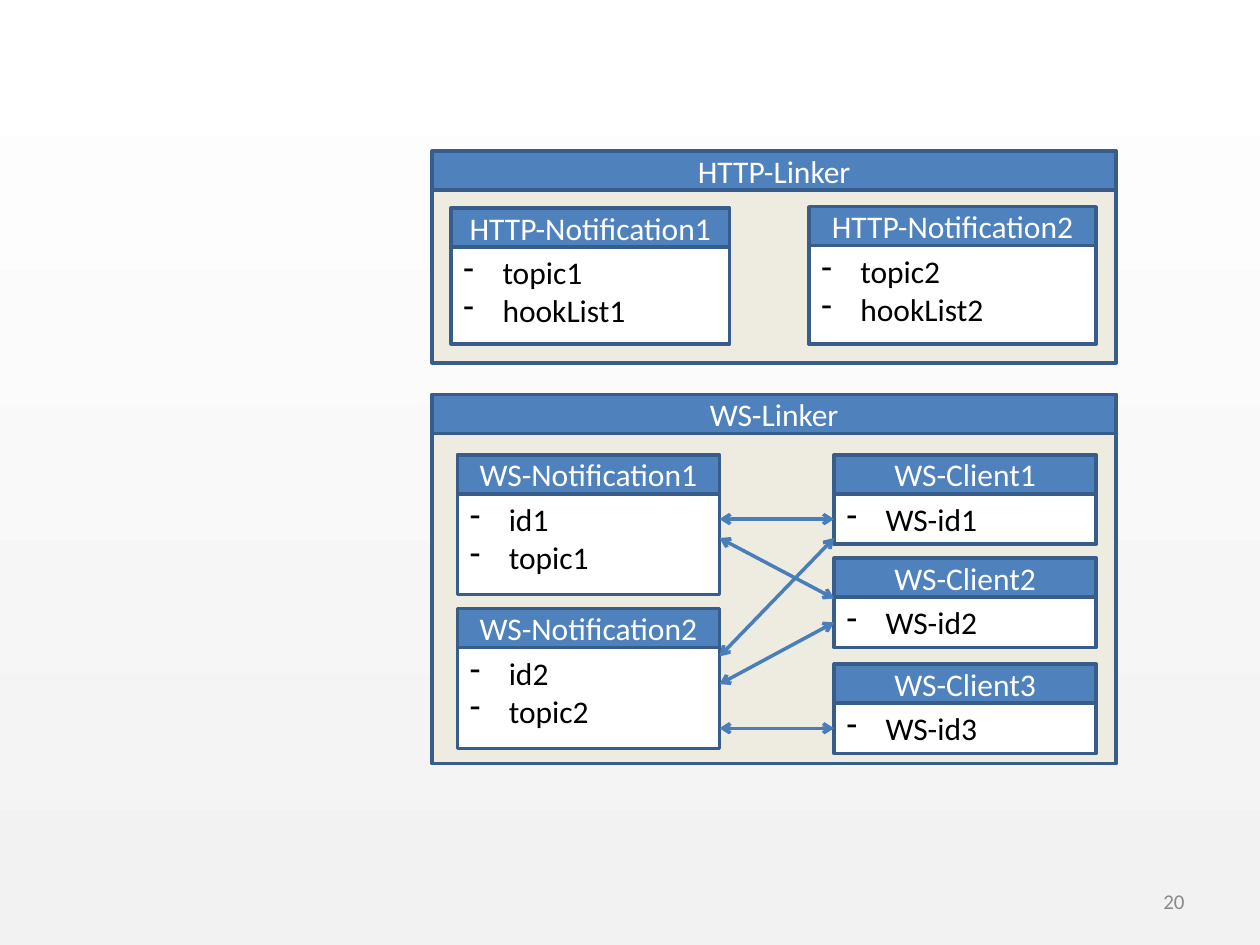
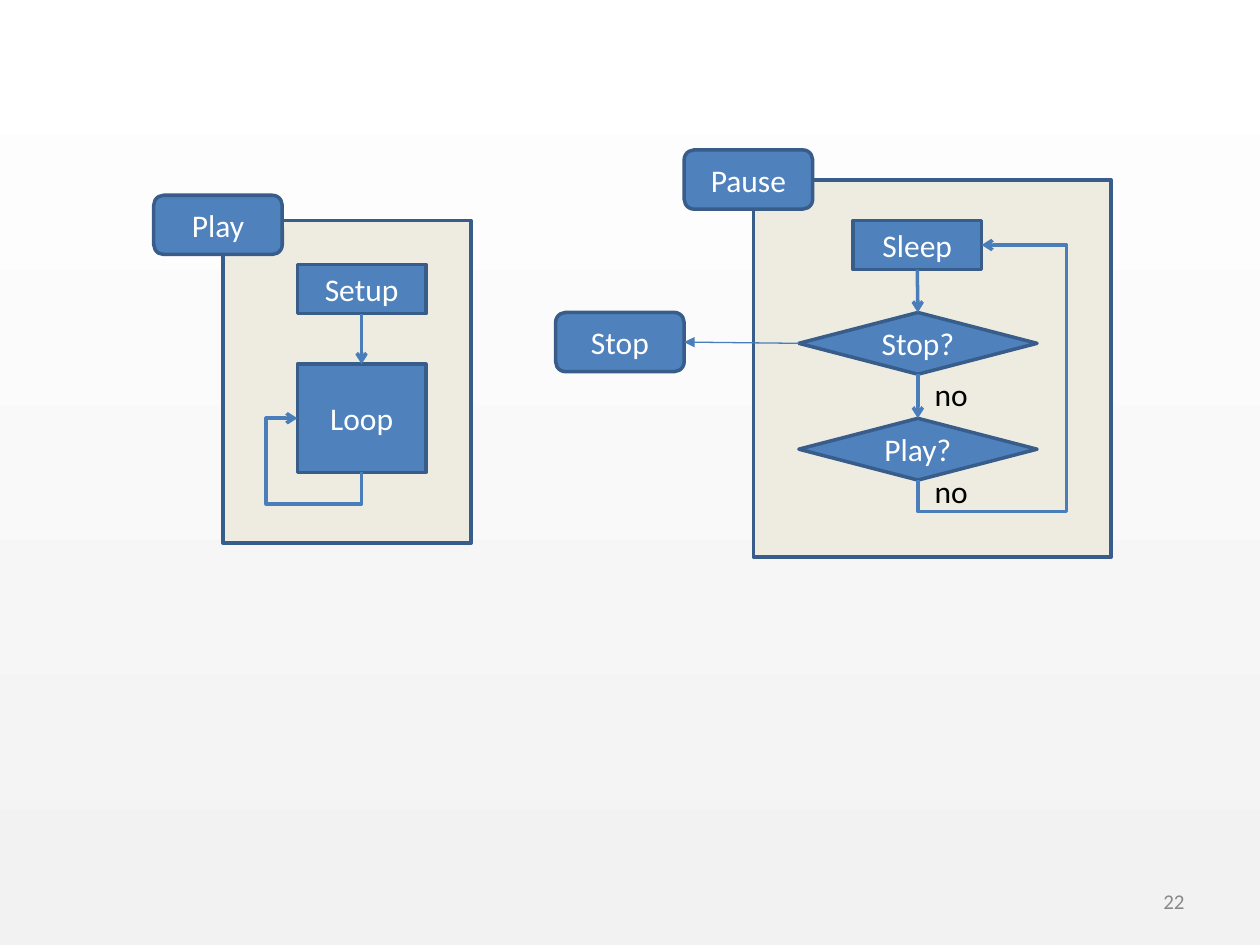
from dataclasses import dataclass

from lxml.etree import SubElement
from pptx import Presentation
from pptx.dml.color import RGBColor
from pptx.enum.shapes import MSO_CONNECTOR, MSO_SHAPE
from pptx.enum.text import MSO_ANCHOR, PP_ALIGN
from pptx.oxml.ns import qn
from pptx.util import Inches, Pt


@dataclass(frozen=True)
class Theme:
    font: str = "Calibri"
    body_size: float = 18
    number_size: float = 12
    line_width: float = 2
    thin_width: float = 0.75
    blue: str = "4F81BD"
    outline: str = "385D8A"
    arrow: str = "4A7EBB"
    panel: str = "EEECE1"
    white: str = "FFFFFF"
    black: str = "000000"
    grey: str = "898989"
    background_end: str = "F2F2F2"


THEME = Theme()
HEADER_HEIGHT = 0.31
BULLET_INDENT = 0.31

LINKER_LEFT, LINKER_WIDTH = 3.43, 5.43
LINKERS = [("HTTP-Linker", 1.2, 1.37), ("WS-Linker", 3.13, 2.62)]

WS_LEFT, CLIENT_LEFT, WS_WIDTH = 3.63, 6.62, 2.08
CARDS = [
    ("HTTP-Notification1", ["topic1", "hookList1"], 3.58, 1.65, 2.21, 0.77),
    ("HTTP-Notification2", ["topic2", "hookList2"], 6.42, 1.64, 2.28, 0.78),
    ("WS-Notification1", ["id1", "topic1"], WS_LEFT, 3.61, WS_WIDTH, 0.8),
    ("WS-Notification2", ["id2", "topic2"], WS_LEFT, 4.83, WS_WIDTH, 0.8),
    ("WS-Client1", ["WS-id1"], CLIENT_LEFT, 3.61, WS_WIDTH, 0.4),
    ("WS-Client2", ["WS-id2"], CLIENT_LEFT, 4.43, WS_WIDTH, 0.4),
    ("WS-Client3", ["WS-id3"], CLIENT_LEFT, 5.27, WS_WIDTH, 0.4),
]
LINKS = [
    (4.12, 4.12, "WS-Client1"),
    (4.27, 4.75, None),
    (5.43, 4.94, "WS-Client2"),
    (5.78, 5.78, "WS-Client3"),
    (5.21, 4.27, None),
]

STATE_PANELS = [(5.98, 1.43, 2.84, 2.99), (1.77, 1.75, 1.97, 2.56)]
STEP_SIZE, STATE_SIZE, DECISION_SIZE = (1.02, 0.39), (1.02, 0.47), (1.89, 0.49)
NODES = [
    ("Setup", MSO_SHAPE.RECTANGLE, (2.36, 2.1), STEP_SIZE),
    ("Loop", MSO_SHAPE.RECTANGLE, (2.36, 2.89), (1.02, 0.86)),
    ("Play", MSO_SHAPE.ROUNDED_RECTANGLE, (1.22, 1.55), STATE_SIZE),
    ("Pause", MSO_SHAPE.ROUNDED_RECTANGLE, (5.43, 1.19), STATE_SIZE),
    ("Stop", MSO_SHAPE.ROUNDED_RECTANGLE, (4.41, 2.48), STATE_SIZE),
    ("Sleep", MSO_SHAPE.RECTANGLE, (6.77, 1.75), STEP_SIZE),
    ("Stop?", MSO_SHAPE.DIAMOND, (6.34, 2.48), DECISION_SIZE),
    ("Play?", MSO_SHAPE.DIAMOND, (6.34, 3.32), DECISION_SIZE),
]
TOP, LEFT, BOTTOM, RIGHT = range(4)
FLOWS = [
    ("Setup", BOTTOM, "Loop", TOP, THEME.line_width, "arrow"),
    ("Sleep", BOTTOM, "Stop?", TOP, THEME.line_width, "arrow"),
    ("Stop?", BOTTOM, "Play?", TOP, THEME.line_width, "arrow"),
    ("Stop?", LEFT, "Stop", RIGHT, THEME.thin_width, "triangle"),
]
RETURNS = [
    ("Loop", "Loop", LEFT, 270, ["flipV"], (-0.583, 1.488)),
    ("Play?", "Sleep", RIGHT, 90, ["flipH", "flipV"], (-0.134, 2.334)),
]
NO_LABEL_TOPS = [2.93, 3.7]


def color(value):
    return RGBColor.from_string(value)


def write(shape, lines, text_color, align=PP_ALIGN.LEFT, anchor=MSO_ANCHOR.TOP,
          size=THEME.body_size, bullets=False):
    frame = shape.text_frame
    frame.word_wrap = True
    frame.vertical_anchor = anchor
    frame.text = "\n".join(lines)
    for paragraph in frame.paragraphs:
        paragraph.alignment = align
        if bullets:
            properties = paragraph._p.get_or_add_pPr()
            properties.set("marL", str(Inches(BULLET_INDENT)))
            properties.set("indent", str(-Inches(BULLET_INDENT)))
            SubElement(properties, qn("a:buChar"), char="-")
        paragraph.font.name = THEME.font
        paragraph.font.size = Pt(size)
        paragraph.font.color.rgb = color(text_color)


def add_box(slide, left, top, width, height, fill, kind=MSO_SHAPE.RECTANGLE):
    shape = slide.shapes.add_shape(kind, *map(Inches, (left, top, width, height)))
    shape.shadow.inherit = False
    shape.fill.solid()
    shape.fill.fore_color.rgb = color(fill)
    shape.line.color.rgb = color(THEME.outline)
    shape.line.width = Pt(THEME.line_width)
    return shape


def add_label_box(slide, text, left, top, width, height, kind=MSO_SHAPE.RECTANGLE):
    shape = add_box(slide, left, top, width, height, THEME.blue, kind)
    write(shape, [text], THEME.white, PP_ALIGN.CENTER, MSO_ANCHOR.MIDDLE)
    return shape


def add_text(slide, text, left, top, width, height, text_color, **style):
    box = slide.shapes.add_textbox(*map(Inches, (left, top, width, height)))
    write(box, [text], text_color, **style)


def add_arrow(slide, kind=MSO_CONNECTOR.STRAIGHT, ends=(0, 0, 0, 0),
              width=THEME.line_width, head=None, tail="arrow"):
    connector = slide.shapes.add_connector(kind, *map(Inches, ends))
    connector.line.color.rgb = color(THEME.arrow)
    connector.line.width = Pt(width)
    line = connector.line._get_or_add_ln()
    if head:
        SubElement(line, qn("a:headEnd"), type=head)
    SubElement(line, qn("a:tailEnd"), type=tail)
    SubElement(connector._element.spPr, qn("a:effectLst"))
    return connector


def add_return(slide, source, target, side, rotation, flips, adjustments):
    connector = add_arrow(slide, MSO_CONNECTOR.ELBOW)
    connector.begin_connect(source, BOTTOM)
    connector.end_connect(target, side)
    center_x = (connector.begin_x + connector.end_x) // 2
    center_y = (connector.begin_y + connector.end_y) // 2
    width, height = connector.height, connector.width
    connector.left, connector.top = center_x - width // 2, center_y - height // 2
    connector.width, connector.height = width, height
    properties = connector._element.spPr
    transform = properties.find(qn("a:xfrm"))
    transform.set("rot", str(rotation * 60000))
    for flip in ("flipH", "flipV"):
        transform.set(flip, str(int(flip in flips)))
    geometry = properties.find(qn("a:prstGeom"))
    geometry.set("prst", "bentConnector4")
    guides = geometry.find(qn("a:avLst"))
    if guides is None:
        guides = SubElement(geometry, qn("a:avLst"))
    for index, value in enumerate(adjustments, 1):
        SubElement(guides, qn("a:gd"), name=f"adj{index}",
                   fmla=f"val {round(value * 100000)}")


def add_slide(presentation, number):
    slide = presentation.slides.add_slide(presentation.slide_layouts[6])
    add_text(slide, number, 7.17, 6.95, 2.33, 0.4, THEME.grey,
             align=PP_ALIGN.RIGHT, anchor=MSO_ANCHOR.MIDDLE, size=THEME.number_size)
    return slide


def set_background(master):
    fill = master.background.fill
    fill.gradient()
    fill.gradient_angle = 270
    for stop, value in zip(fill.gradient_stops, (THEME.white, THEME.background_end)):
        stop.color.rgb = color(value)


def build_linkers(presentation):
    slide = add_slide(presentation, "20")
    for name, top, height in LINKERS:
        add_box(slide, LINKER_LEFT, top + HEADER_HEIGHT, LINKER_WIDTH, height, THEME.panel)
        add_label_box(slide, name, LINKER_LEFT, top, LINKER_WIDTH, HEADER_HEIGHT)
    bodies = {}
    for name, items, left, top, width, height in CARDS:
        add_label_box(slide, name, left, top, width, HEADER_HEIGHT)
        body = add_box(slide, left, top + HEADER_HEIGHT, width, height, THEME.white)
        write(body, items, THEME.black, bullets=True)
        bodies[name] = body
    for start, end, client in LINKS:
        ends = (WS_LEFT + WS_WIDTH, start, CLIENT_LEFT, end)
        link = add_arrow(slide, ends=ends, head="arrow")
        if client:
            link.end_connect(bodies[client], LEFT)


def build_states(presentation):
    slide = add_slide(presentation, "22")
    for panel in STATE_PANELS:
        add_box(slide, *panel, THEME.panel)
    nodes = {name: add_label_box(slide, name, *position, *size, kind)
             for name, kind, position, size in NODES}
    for source, source_side, target, target_side, width, tail in FLOWS:
        flow = add_arrow(slide, width=width, tail=tail)
        flow.begin_connect(nodes[source], source_side)
        flow.end_connect(nodes[target], target_side)
    for source, target, *route in RETURNS:
        add_return(slide, nodes[source], nodes[target], *route)
    for top in NO_LABEL_TOPS:
        add_text(slide, "no", 7.32, top, 0.69, 0.4, THEME.black)


def main():
    presentation = Presentation()
    presentation.slide_width, presentation.slide_height = Inches(10), Inches(7.5)
    set_background(presentation.slide_master)
    build_linkers(presentation)
    build_states(presentation)
    presentation.save("out.pptx")


if __name__ == "__main__":
    main()
